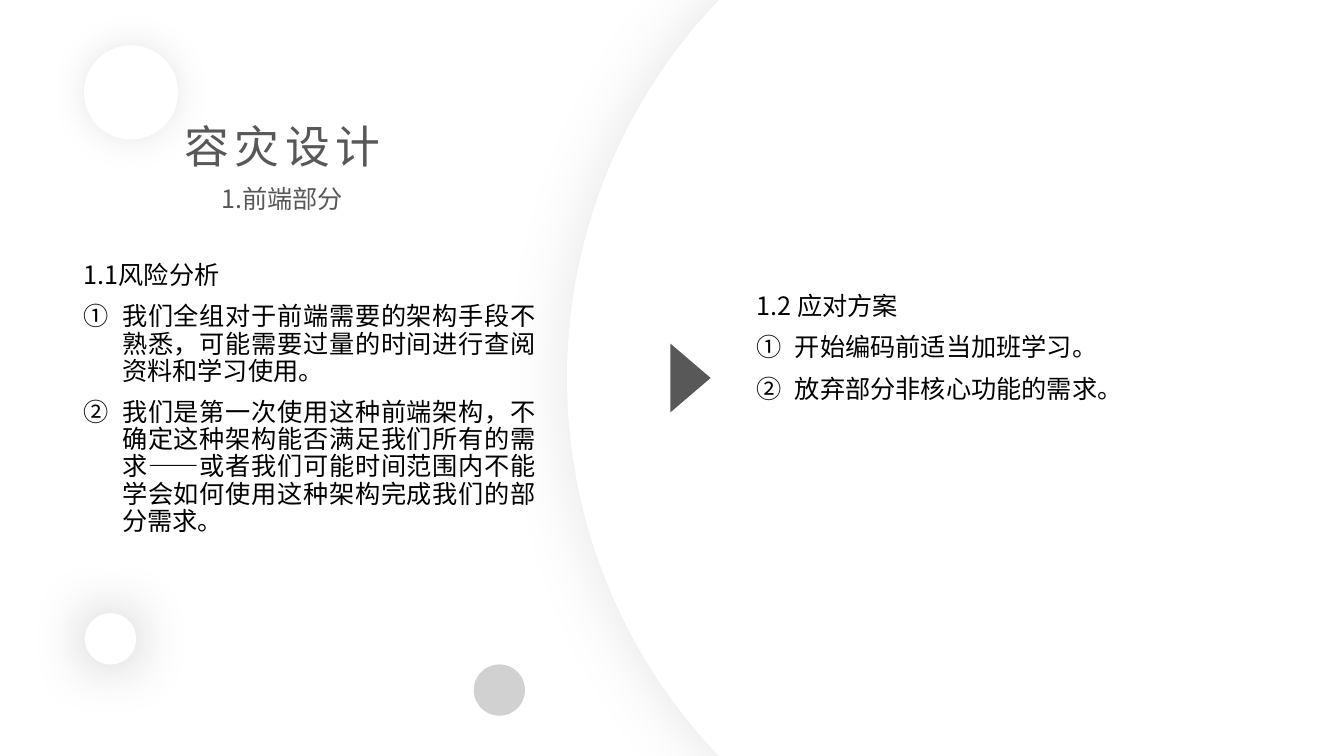
"""Build the front-end disaster recovery slide."""
from lxml import etree
from pptx import Presentation
from pptx import util as u
from pptx.dml import color
from pptx.enum import shapes, text
from pptx.oxml import ns

COLORS = {"white": "FFFFFF", "black": "000000", "gray": "585858", "silver": "D1D1D1"}
FONT = "Noto Sans CJK SC"
COLUMNS, ROWS = 160, 90
CELL = u.Inches(1) // 12
KINDS = shapes.MSO_SHAPE
ALIGN = text.PP_ALIGN
BODY_SIZE = (56.2, 57.1)
INDENT = u.Inches(0.38)


def add_child(parent, tag, **attributes):
    child = etree.SubElement(parent, ns.qn(tag))
    for name, value in attributes.items():
        child.set(name, str(value))
    return child


def set_values(target, values):
    for name, value in values.items():
        setattr(target, name, value)


class SlideBuilder:
    def __init__(self, deck):
        deck.slide_width, deck.slide_height = COLUMNS * CELL, ROWS * CELL
        self.page = deck.slides.add_slide(deck.slide_layouts[6])
        fill = self.page.background.fill
        fill.solid()
        fill.fore_color.rgb = self.color("white")

    def color(self, name):
        return color.RGBColor.from_string(COLORS[name])

    def place(self, *cells):
        return [u.Emu(round(cell * CELL)) for cell in cells]

    def shape(self, kind, cells, fill, rotation=0, glow=None):
        shape = self.page.shapes.add_shape(kind, *self.place(*cells))
        shape.shadow.inherit = False
        shape.rotation = rotation
        shape.fill.solid()
        shape.fill.fore_color.rgb = self.color(fill)
        shape.line.fill.background()
        if glow:
            opacity, blur = glow
            effects = shape._element.spPr.find(ns.qn("a:effectLst"))
            shadow = add_child(effects, "a:outerShdw", blurRad=u.Pt(blur), dist=0,
                               algn="ctr", rotWithShape=0)
            tint = add_child(shadow, "a:srgbClr", val=COLORS["black"])
            add_child(tint, "a:alpha", val=opacity * 1000)

    def box(self, cells, fit=text.MSO_AUTO_SIZE.NONE):
        frame = self.page.shapes.add_textbox(*self.place(*cells)).text_frame
        set_values(frame, {"word_wrap": True, "auto_size": fit})
        return frame

    def add_span(self, para, words, size, tone, spacing=0):
        span = para.add_run()
        span.text = words
        set_values(span.font, {"size": u.Pt(size), "name": FONT})
        span.font.color.rgb = self.color(tone)
        properties = span._r.get_or_add_rPr()
        add_child(properties, "a:ea", typeface=FONT)
        if spacing:
            properties.set("spc", str(spacing * 100))

    def heading(self, cells, words, size, spacing=0):
        para = self.box(cells, text.MSO_AUTO_SIZE.SHAPE_TO_FIT_TEXT).paragraphs[0]
        para.alignment = ALIGN.CENTER
        self.add_span(para, words, size, "gray", spacing)

    def numbered_list(self, cells, title, items):
        frame = self.box(cells)
        for index, words in enumerate([title, *items]):
            para = frame.add_paragraph() if index else frame.paragraphs[0]
            set_values(para, {"alignment": ALIGN.JUSTIFY, "line_spacing": 0.9,
                              "space_before": u.Pt(10)})
            if index:
                properties = para._p.get_or_add_pPr()
                properties.set("marL", str(INDENT))
                properties.set("indent", str(-INDENT))
                add_child(properties, "a:buFont", typeface="+mj-ea")
                add_child(properties, "a:buAutoNum", type="circleNumDbPlain")
            self.add_span(para, words, 18, "black")


def main():
    deck = Presentation()
    slide = SlideBuilder(deck)

    circles = [
        (67.5, -20, 130, "white", (10, 49)),
        (10, 5.4, 11.2, "white", (10, 26)),
        (10.1, 73, 6.1, "white", (26, 42)),
        (56.4, 79.1, 6.1, "silver", None),
    ]
    for left, top, size, fill, glow in circles:
        slide.shape(KINDS.OVAL, (left, top, size, size), fill, glow=glow)
    slide.shape(KINDS.ISOSCELES_TRIANGLE, (78.1, 42.6, 8.2, 4.8), "gray", rotation=90)

    slide.heading((10.9, 13.6, 45.5, 7.7), "容灾设计", 32, spacing=4)
    slide.heading((25.1, 21.2, 17, 4.8), "1.前端部分", 18)

    slide.numbered_list((8.8, 30.7, *BODY_SIZE), "1.1风险分析", [
        "我们全组对于前端需要的架构手段不熟悉，可能需要过量的时间进行查阅资料和学习使用。",
        "我们是第一次使用这种前端架构，不确定这种架构能否满足我们所有的需求——"
        "或者我们可能时间范围内不能学会如何使用这种架构完成我们的部分需求。",
    ])
    slide.numbered_list((88.9, 34.4, *BODY_SIZE), "1.2 应对方案", [
        "开始编码前适当加班学习。",
        "放弃部分非核心功能的需求。",
    ])
    deck.save("out.pptx")


if __name__ == "__main__":
    main()
